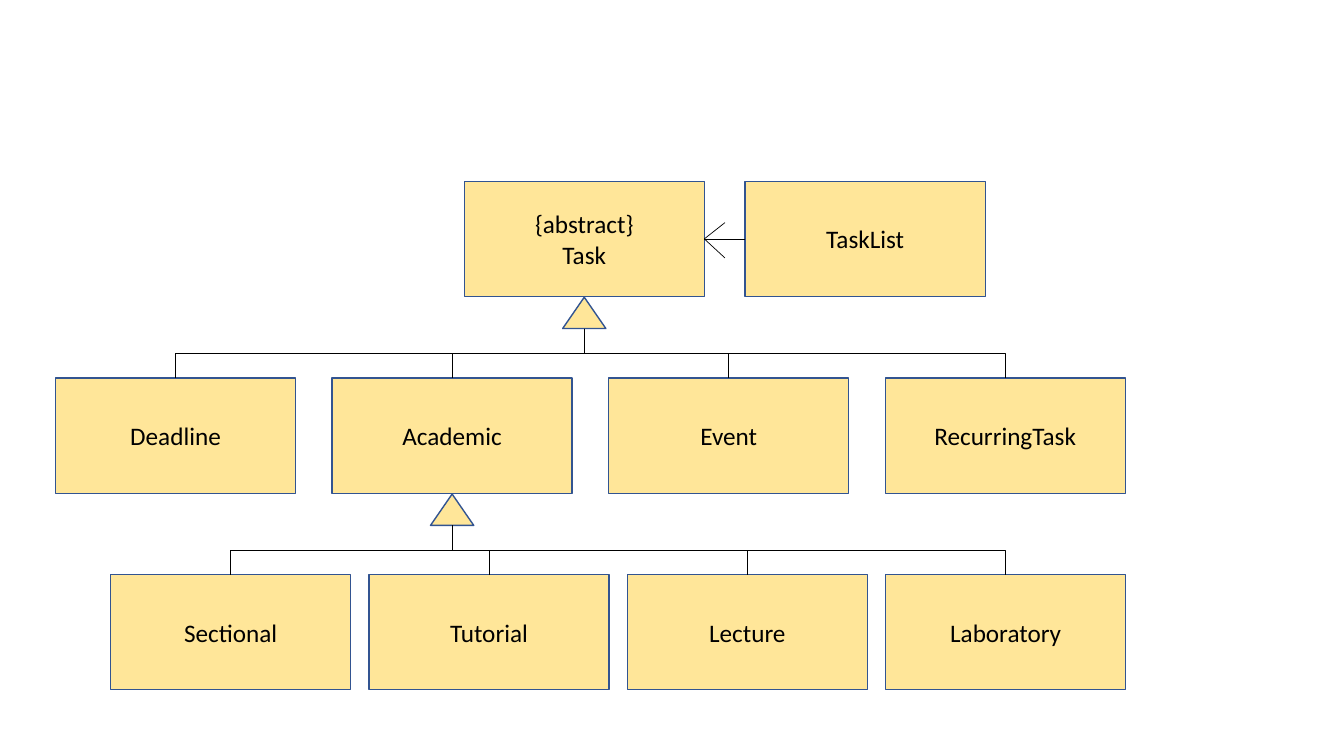
from dataclasses import dataclass

from lxml import etree
from pptx import Presentation
from pptx.dml.color import RGBColor
from pptx.enum.shapes import MSO_CONNECTOR, MSO_SHAPE
from pptx.enum.text import MSO_ANCHOR, PP_ALIGN
from pptx.oxml.ns import qn
from pptx.util import Cm, Pt

RECTANGLE = MSO_SHAPE.RECTANGLE
TRIANGLE = MSO_SHAPE.ISOSCELES_TRIANGLE
STRAIGHT = MSO_CONNECTOR.STRAIGHT
ELBOW = MSO_CONNECTOR.ELBOW
CENTER = PP_ALIGN.CENTER
MIDDLE = MSO_ANCHOR.MIDDLE


@dataclass(frozen=True)
class Theme:
    fill: RGBColor = RGBColor(0xFF, 0xE6, 0x99)
    outline: RGBColor = RGBColor(0x32, 0x54, 0x91)
    ink: RGBColor = RGBColor(0, 0, 0)
    font: str = "Calibri"
    text_size: Pt = Pt(18)
    outline_width: Pt = Pt(1)
    link_width: Pt = Pt(0.5)


THEME = Theme()
TEXT_FORMAT = {"name": THEME.font, "size": THEME.text_size}
BOX_WIDTH, BOX_HEIGHT = Cm(6.05), Cm(2.9)
HEAD_WIDTH, HEAD_HEIGHT = Cm(1.09), Cm(0.79)


def add_filled_shape(slide, kind, left, top, width, height):
    shape = slide.shapes.add_shape(kind, left, top, width, height)
    shape.shadow.inherit = False
    shape.fill.solid()
    shape.fill.fore_color.rgb = THEME.fill
    shape.line.color.rgb = THEME.outline
    shape.line.width = THEME.outline_width
    return shape


def add_class_box(slide, left, top, *labels):
    shape = add_filled_shape(slide, RECTANGLE, left, top, BOX_WIDTH, BOX_HEIGHT)
    frame = shape.text_frame
    frame.word_wrap = True
    frame.vertical_anchor = MIDDLE
    frame.text = "\n".join(labels)
    for paragraph in frame.paragraphs:
        paragraph.alignment = CENTER
        for name, value in TEXT_FORMAT.items():
            setattr(paragraph.font, name, value)
        paragraph.font.color.rgb = THEME.ink
    return shape


def add_link(slide, kind, start, end):
    connector = slide.shapes.add_connector(kind, *start, *end)
    connector.line.color.rgb = THEME.ink
    connector.line.width = THEME.link_width
    etree.SubElement(connector._element.spPr, qn("a:effectLst"))
    return connector


def add_vertical_elbow(slide, start, end):
    (start_x, start_y), (end_x, end_y) = start, end
    center_x, center_y = (start_x + end_x) // 2, (start_y + end_y) // 2
    half_width, half_height = (end_y - start_y) // 2, abs(end_x - start_x) // 2
    goes_right = end_x > start_x
    side = half_width if goes_right else -half_width
    connector = add_link(
        slide,
        ELBOW,
        (center_x + side, center_y - half_height),
        (center_x - side, center_y + half_height),
    )
    frame = connector._element.spPr.find(qn("a:xfrm"))
    frame.set("rot", str((270 if goes_right else 90) * 60000))


def add_subclass_row(slide, parent, left, top, pitch, labels):
    center = parent.left + parent.width // 2
    head_top = parent.top + parent.height + Cm(0.02)
    head_left = center - HEAD_WIDTH // 2
    add_filled_shape(slide, TRIANGLE, head_left, head_top, HEAD_WIDTH, HEAD_HEIGHT)
    boxes = {}
    for index, label in enumerate(labels):
        box = add_class_box(slide, left + index * pitch, top, label)
        add_vertical_elbow(
            slide,
            (center, head_top + HEAD_HEIGHT),
            (box.left + box.width // 2, top),
        )
        boxes[label] = box
    return boxes


def add_association(slide, source, target):
    middle = target.top + target.height // 2
    tip = (target.left + target.width, middle)
    add_link(slide, STRAIGHT, (source.left, middle), tip)
    for rise in (Cm(0.48), Cm(-0.41)):
        add_link(slide, STRAIGHT, tip, (tip[0] + Cm(0.52), middle + rise))


def add_class_diagram(slide, left, top):
    task = add_class_box(slide, left + Cm(10.3), top, "{abstract}", "Task")
    task_list = add_class_box(slide, left + Cm(17.38), top, "TaskList")
    add_association(slide, task_list, task)
    kinds = add_subclass_row(
        slide, task, left, top + Cm(4.96), Cm(6.97),
        ["Deadline", "Academic", "Event", "RecurringTask"],
    )
    add_subclass_row(
        slide, kinds["Academic"], left + Cm(1.39), top + Cm(9.91), Cm(6.51),
        ["Sectional", "Tutorial", "Lecture", "Laboratory"],
    )


def main():
    presentation = Presentation()
    presentation.slide_width = Cm(33.87)
    presentation.slide_height = Cm(19.05)
    slide = presentation.slides.add_slide(presentation.slide_layouts[6])
    add_class_diagram(slide, Cm(1.4), Cm(4.57))
    presentation.save("out.pptx")


if __name__ == "__main__":
    main()
